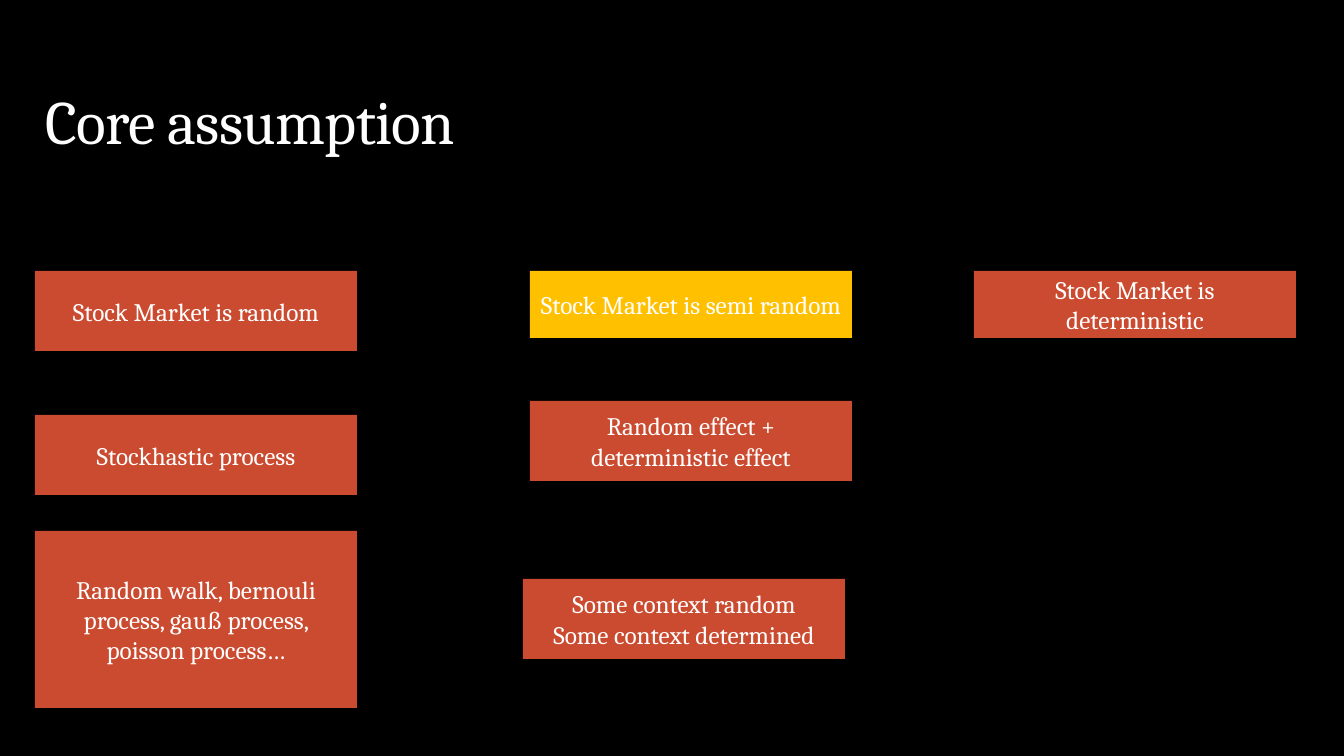
from pptx import Presentation
from pptx.dml.color import RGBColor
from pptx.enum.shapes import MSO_SHAPE as Shape
from pptx.enum.text import MSO_ANCHOR as Anchor, PP_ALIGN as Align
from pptx.util import Pt

# Content: each column has a left edge and boxes of (top, height, fill, lines)
FONT = "Cambria"
WHITE, BLACK, RED, AMBER = "FFFFFF", "000000", "CB4B30", "FFC000"
TITLE = "Core assumption"
BOX_WIDTH = 322
COLUMNS = [
    (35, [
        (271, 80, RED, ["Stock Market is random"]),
        (415, 80, RED, ["Stockhastic process"]),
        (531, 177, RED, ["Random walk, bernouli process, gauß process, poisson process…"]),
    ]),
    (530, [
        (271, 67, AMBER, ["Stock Market is semi random"]),
        (401, 80, RED, ["Random effect + deterministic effect"]),
    ]),
    (523, [
        (579, 80, RED, ["Some context random", "Some context determined"]),
    ]),
    (974, [
        (271, 67, RED, ["Stock Market is deterministic"]),
    ]),
]


def px(pixels):
    return round(pixels * 914400 / 100.8)


def color(value):
    return RGBColor.from_string(value)


def place(shape, left, top, width, height):
    shape.left, shape.top = px(left), px(top)
    shape.width, shape.height = px(width), px(height)


def write(shape, lines, size, anchor, align):
    frame = shape.text_frame
    frame.text = "\n".join(lines)
    frame.word_wrap = True
    frame.vertical_anchor = anchor
    for paragraph in frame.paragraphs:
        paragraph.alignment = align
        for run in paragraph.runs:
            run.font.name = FONT
            run.font.size = Pt(size)
            run.font.color.rgb = color(WHITE)


# Slide and background
presentation = Presentation()
presentation.slide_width, presentation.slide_height = px(1344), px(756)
slide = presentation.slides.add_slide(presentation.slide_layouts[5])
slide.background.fill.solid()
slide.background.fill.fore_color.rgb = color(BLACK)

# Title
title = slide.shapes.title
place(title, 35, 17, 1068, 146)
write(title, [TITLE], 44, Anchor.BOTTOM, Align.LEFT)
title_paragraph = title.text_frame.paragraphs[0]
title_paragraph.line_spacing = 0.9
title_paragraph.runs[0].font._element.set("spc", "-50")

# Boxes
for left, boxes in COLUMNS:
    for top, height, fill, lines in boxes:
        box = slide.shapes.add_shape(
            Shape.RECTANGLE, px(left), px(top), px(BOX_WIDTH), px(height))
        box.shadow.inherit = False
        box.fill.solid()
        box.fill.fore_color.rgb = color(fill)
        box.line.fill.background()
        write(box, lines, 18, Anchor.MIDDLE, Align.CENTER)

presentation.save("out.pptx")
